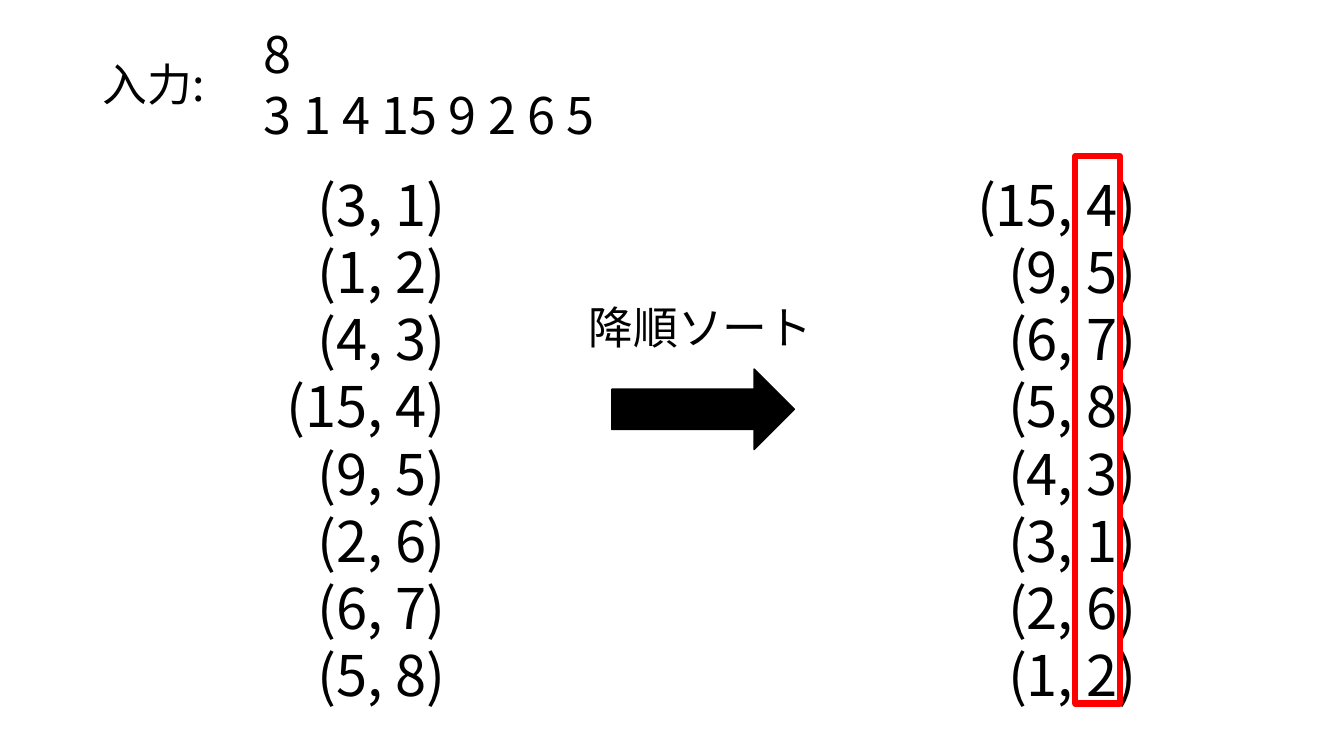
from pptx import Presentation
from pptx import util as u
from pptx.dml.color import RGBColor
from pptx.enum import shapes, text

COLORS = {"ink": "000000", "highlight": "FF0000"}
FONT = "Noto Sans CJK JP"

presentation = Presentation()
presentation.slide_width = u.Cm(33.87)
presentation.slide_height = u.Cm(19.05)
slide = presentation.slides.add_slide(presentation.slide_layouts[6])


def add_text(lines, left, top, width, height, size, align=text.PP_ALIGN.LEFT):
    box = slide.shapes.add_textbox(u.Cm(left), u.Cm(top), u.Cm(width), u.Cm(height))
    frame = box.text_frame
    frame.word_wrap = True
    frame.text = "\n".join(lines)
    for paragraph in frame.paragraphs:
        paragraph.alignment = align
        paragraph.font.size = u.Pt(size)
        paragraph.font.name = FONT
        paragraph.font.color.rgb = RGBColor.from_string(COLORS["ink"])


# Input values
values = [3, 1, 4, 15, 9, 2, 6, 5]
add_text([str(len(values)), " ".join(map(str, values))], 6.4, 0.46, 12.45, 3.33, 36)

# Pairs of value and position, before and after the sort
pairs = [(value, position) for position, value in enumerate(values, start=1)]
for left, column in ((6.07, pairs), (23.47, sorted(pairs, reverse=True))):
    add_text([str(pair) for pair in column], left, 4.17, 5.41, 13.94, 40,
             text.PP_ALIGN.RIGHT)

# Frame around the sorted positions
frame_box = slide.shapes.add_shape(
    shapes.MSO_SHAPE.RECTANGLE, u.Cm(27.1), u.Cm(3.94), u.Cm(1.12), u.Cm(13.79))
frame_box.shadow.inherit = False
frame_box.fill.background()
frame_box.line.color.rgb = RGBColor.from_string(COLORS["highlight"])
frame_box.line.width = u.Pt(4.5)

# Sort arrow
arrow = slide.shapes.add_shape(
    shapes.MSO_SHAPE.RIGHT_ARROW, u.Cm(15.42), u.Cm(9.3), u.Cm(4.6), u.Cm(2.03))
arrow.shadow.inherit = False
arrow.fill.solid()
arrow.fill.fore_color.rgb = RGBColor.from_string(COLORS["ink"])
arrow.line.color.rgb = RGBColor.from_string(COLORS["ink"])
arrow.line.width = u.Pt(1)

# Labels
add_text(["降順ソート"], 14.58, 7.44, 6.3, 1.63, 32)
add_text(["入力:"], 2.34, 1.3, 3.12, 1.63, 32)

presentation.save("out.pptx")
